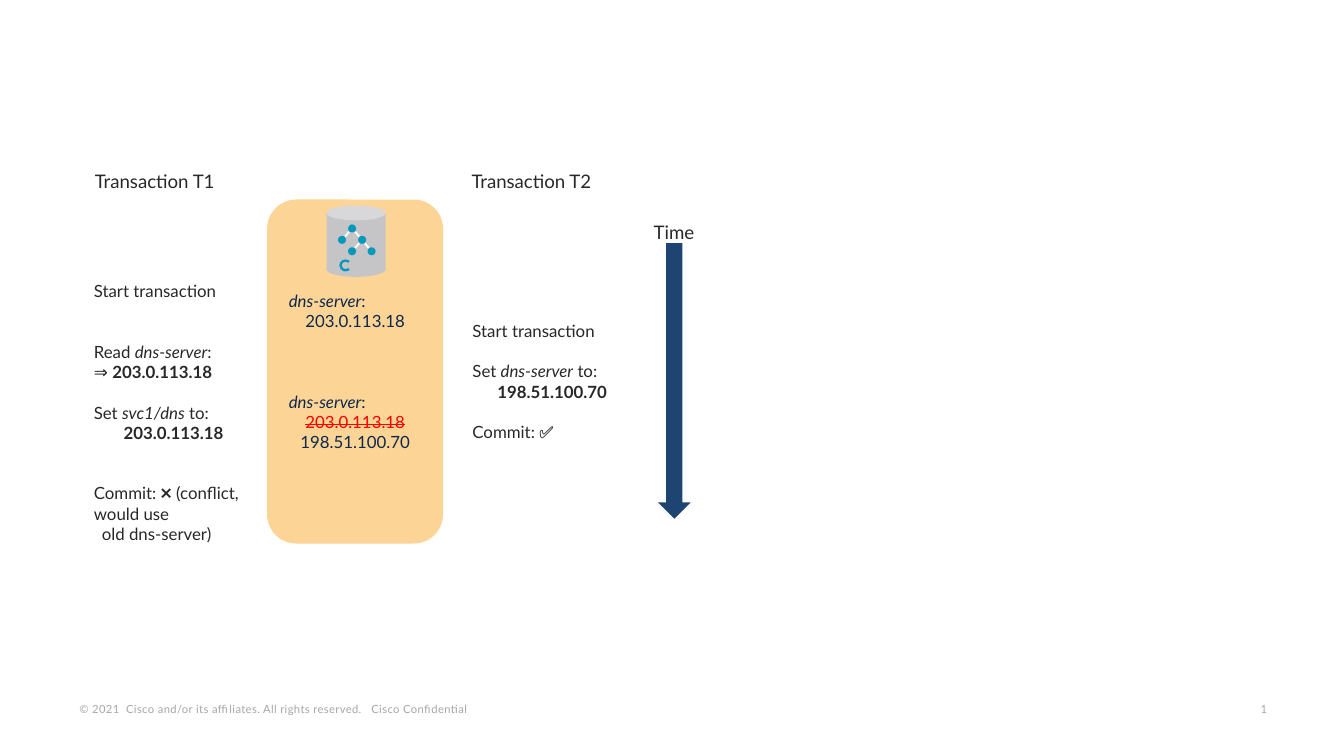
"""Build a slide showing two transactions that conflict over a shared DNS setting."""
from lxml.etree import SubElement
from pptx import Presentation
from pptx.dml.color import RGBColor
from pptx.enum.shapes import MSO_CONNECTOR, MSO_SHAPE
from pptx.enum.text import MSO_ANCHOR, PP_ALIGN
from pptx.oxml.ns import qn
from pptx.util import Inches, Pt

prs = Presentation()
prs.slide_width, prs.slide_height = Inches(10), Inches(10 * 9 / 16)
s = prs.slides.add_slide(prs.slide_layouts[6])
CELL = prs.slide_width / 100
LEFT, MID = PP_ALIGN.LEFT, PP_ALIGN.CENTER
BOLD, ITALIC = {"bold": True}, {"italic": True}
INK, NAVY, TEAL, GREY = "282828", "0D274D", "0598BC", "C5C5C7"


def grid(*cells):
    return [round(c * CELL) for c in cells]


def write(sp, lines, size, color, anchor=MSO_ANCHOR.TOP, spacing=None):
    tf = sp.text_frame
    tf.word_wrap, tf.vertical_anchor = True, anchor
    for i, (gap, align, runs) in enumerate(lines):
        p = tf.paragraphs[0] if i == 0 else tf.add_paragraph()
        p.alignment = align
        if gap:
            p.space_before = Pt(gap * size * 1.2)
        for text, style in runs:
            r = p.add_run()
            r.text = text
            look = {"name": "Lato", "size": Pt(size), "bold": False, "italic": False}
            for key, value in {**look, **style}.items():
                if key != "strike":
                    setattr(r.font, key, value)
            r.font.color.rgb = RGBColor.from_string(style.get("strike", color))
            if "strike" in style:
                r.font._element.set("strike", "sngStrike")
            if spacing:
                r.font._element.set("spc", spacing)


shapes = [
    (MSO_SHAPE.ROUNDED_RECTANGLE, (19.87, 14.85, 13.1, 25.6), "FBAB2C"),
    (MSO_SHAPE.RECTANGLE, (24.3, 15.8, 4.4, 4.3), GREY),
    (MSO_SHAPE.OVAL, (24.3, 19.5, 4.4, 1.1), GREY),
    (MSO_SHAPE.OVAL, (24.3, 15.3, 4.4, 1.1), "D8D8DA"),
    (MSO_SHAPE.BLOCK_ARC, (25.25, 19.3, 0.9, 0.9), TEAL),
    (MSO_SHAPE.DOWN_ARROW, (48.95, 18.1, 2.45, 20.5), "1E4471"),
]
nodes = [(26.2, 17), (25.45, 17.85), (26.95, 17.85), (26.2, 18.7), (27.65, 18.7)]
shapes += [(MSO_SHAPE.OVAL, (x - 0.3, y - 0.3, 0.6, 0.6), TEAL) for x, y in nodes]
drawn = []
for kind, box, color in shapes:
    sp = s.shapes.add_shape(kind, *grid(*box))
    sp.shadow.inherit = False
    sp.fill.solid()
    sp.fill.fore_color.rgb = RGBColor.from_string(color)
    sp.line.fill.background()
    drawn.append(sp)
store, letter = drawn[0], drawn[4]
SubElement(store._element.spPr.find(".//" + qn("a:srgbClr")), qn("a:alpha"), val="50000")
for i, value in enumerate((27, 189, 0.2)):
    letter.adjustments[i] = value

for a, b in ((0, 1), (0, 2), (2, 3), (2, 4)):
    (xa, ya), (xb, yb) = nodes[a], nodes[b]
    ends = [xa + (xb - xa) * 0.3, ya + (yb - ya) * 0.3, xa + (xb - xa) * 0.7, ya + (yb - ya) * 0.7]
    edge = s.shapes.add_connector(MSO_CONNECTOR.STRAIGHT, *grid(*ends))
    edge.line.color.rgb = RGBColor.from_string("FFFFFF")
    edge.line.width = Pt(1)
    SubElement(edge._element.spPr, qn("a:effectLst"))

setting = [("dns-server", ITALIC), (":", {})]
write(store, [
    (0, LEFT, setting),
    (0, MID, [("203.0.113.18", {})]),
    (3, LEFT, setting),
    (0, MID, [("203.0.113.18", {"strike": "FF0000"})]),
    (0, MID, [("198.51.100.70", {})]),
], 9, NAVY, MSO_ANCHOR.MIDDLE)

first = [
    (0, LEFT, [("Start transaction", {})]),
    (2, LEFT, [("Read ", {})] + setting),
    (0, LEFT, [("⇒ ", {}), ("203.0.113.18", BOLD)]),
    (1, LEFT, [("Set ", {}), ("svc1/dns", ITALIC), (" to:", {})]),
    (0, MID, [("203.0.113.18", BOLD)]),
    (2, LEFT, [("Commit: ❌ (conflict, would use", {})]),
    (0, LEFT, [("old dns-server)", {})]),
]
second = [
    (0, LEFT, [("Start transaction", {})]),
    (1, LEFT, [("Set ", {}), ("dns-server", ITALIC), (" to:", {})]),
    (0, MID, [("198.51.100.70", BOLD)]),
    (1, LEFT, [("Commit: ✅", {})]),
]
texts = [
    ((6.07, 12.15, 13.8, 2.7), [(0, LEFT, [("Transaction T1", {})])], 10),
    ((34.1, 12.15, 13.8, 2.7), [(0, LEFT, [("Transaction T2", {})])], 10),
    ((47.1, 15.9, 6.1, 1.8), [(0, MID, [("Time", {})])], 10),
    ((34.17, 23.37, 13.8, 10.1), second, 9),
    ((6, 20.43, 13.8, 22.2), first, 9),
]
for box, lines, size in texts:
    sp = s.shapes.add_textbox(*grid(*box))
    write(sp, lines, size, INK)
sp.text_frame.paragraphs[-1]._p.get_or_add_pPr().set("marL", str(Inches(0.06)))

footers = [
    (5.2, 37.2, "© 2021  Cisco and/or its affiliates. All rights reserved.   Cisco Confidential"),
    (93.1, 2.4, "1"),
]
for left, width, text in footers:
    sp = s.shapes.add_textbox(*grid(left, 51.87, width, 1.7))
    for side, inset in {"left": 0.07, "right": 0.07, "top": 0.03, "bottom": 0.03}.items():
        setattr(sp.text_frame, f"margin_{side}", Inches(inset))
    write(sp, [(0, LEFT, [(text, {})])], 6, "A6A6A6", MSO_ANCHOR.BOTTOM, "20")

prs.save("out.pptx")
